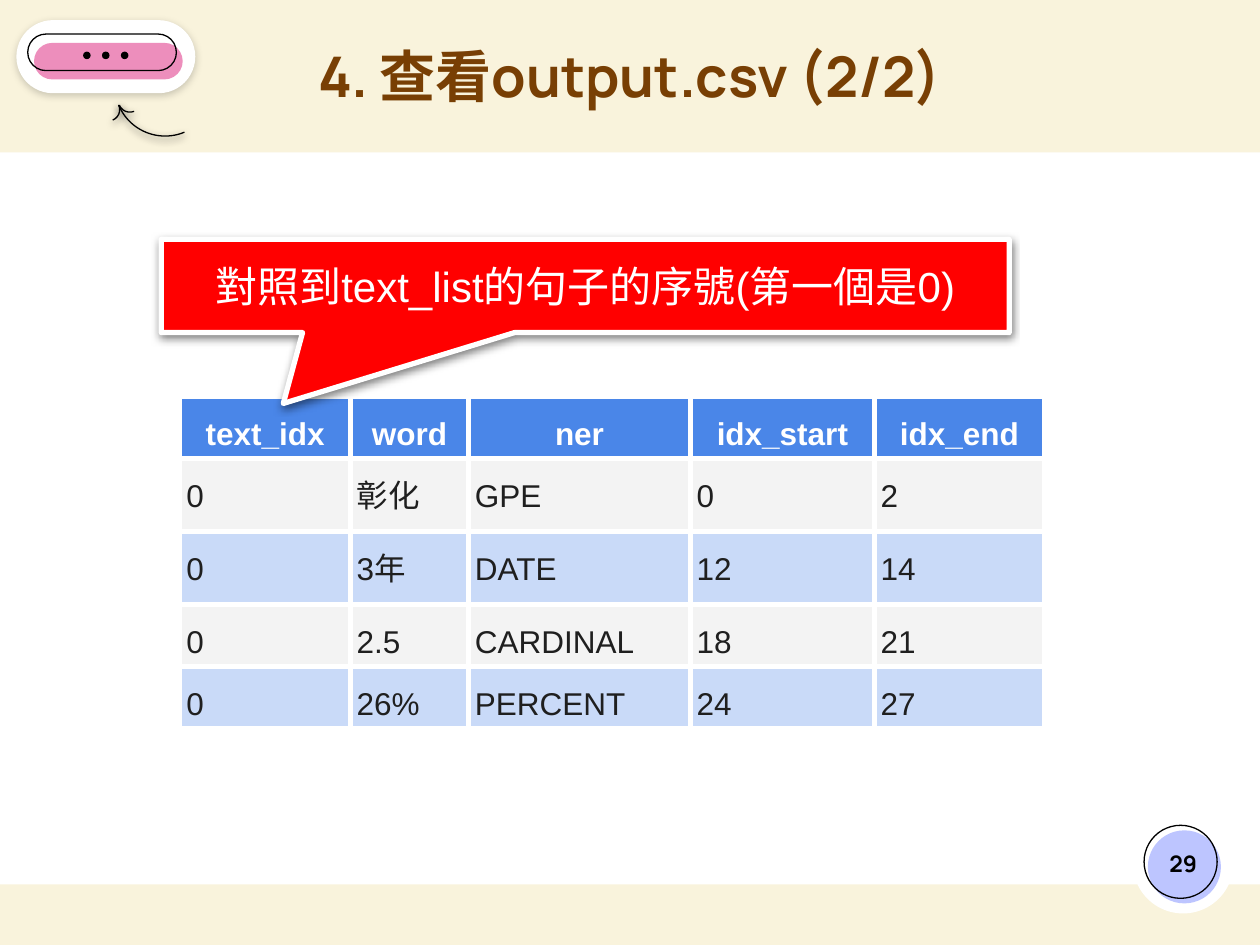
from dataclasses import dataclass

from lxml.etree import SubElement
from pptx import Presentation
from pptx.dml.color import RGBColor
from pptx.enum.shapes import MSO_SHAPE as Shape
from pptx.enum.text import MSO_ANCHOR as Anchor, PP_ALIGN as Align
from pptx.oxml.ns import qn
from pptx.util import Inches, Pt


@dataclass(frozen=True)
class Theme:
    cream: str = "F9F3DC"
    white: str = "FFFFFF"
    black: str = "000000"
    brown: str = "783F04"
    lilac: str = "BDC5FF"
    pink: str = "ED8EBC"
    red: str = "FF0000"
    header: str = "4A86E8"
    bands: tuple = ("F3F3F3", "C9DAF8")
    ink: str = "1F1F1F"
    display: str = "Manrope"
    body: str = "Arial"
    title_size: int = 32
    callout_size: int = 24
    table_size: int = 18
    number_size: int = 13
    thin: float = 0.75
    thick: float = 3


THEME = Theme()

HEADINGS = ("text_idx", "word", "ner", "idx_start", "idx_end")
ENTITIES = (
    ("0", "彰化", "GPE", "0", "2"),
    ("0", "3年", "DATE", "12", "14"),
    ("0", "2.5", "CARDINAL", "18", "21"),
    ("0", "26%", "PERCENT", "24", "27"),
)
COLUMN_WIDTHS = (1.35, 0.94, 1.76, 1.46, 1.35)
# Rows with Chinese words need more height
ROW_HEIGHTS = (0.46, 0.58, 0.58, 0.46, 0.46)


def add_shadow(shape, opacity):
    effects = shape._element.spPr.find(qn("a:effectLst"))
    outer = SubElement(effects, qn("a:outerShdw"), blurRad=str(Pt(4.5)),
                       dist=str(Pt(1.5)), dir="5400000", algn="bl", rotWithShape="0")
    color = SubElement(outer, qn("a:srgbClr"), val=THEME.black)
    SubElement(color, qn("a:alpha"), val=str(opacity * 1000))


def draw(slide, kind, box, fill=None, line=None, width=THEME.thin, shadow=None):
    shape = slide.shapes.add_shape(kind, *map(Inches, box))
    shape.shadow.inherit = False
    if fill:
        shape.fill.solid()
        shape.fill.fore_color.rgb = RGBColor.from_string(fill)
    else:
        shape.fill.background()
    if line:
        shape.line.color.rgb = RGBColor.from_string(line)
        shape.line.width = Pt(width)
    else:
        shape.line.fill.background()
    if shadow:
        add_shadow(shape, shadow)
    return shape


def write(frame, text, size, color, font, bold=False, align=Align.CENTER):
    frame.text = text
    paragraph = frame.paragraphs[0]
    paragraph.alignment = align
    run_font = paragraph.runs[0].font
    run_font.name, run_font.size, run_font.bold = font, Pt(size), bold
    run_font.color.rgb = RGBColor.from_string(color)
    for script in ("a:ea", "a:cs"):
        SubElement(paragraph.runs[0]._r.rPr, qn(script), typeface=font)
    return paragraph


def set_frame(frame, insets):
    frame.word_wrap = True
    frame.vertical_anchor = Anchor.MIDDLE
    (frame.margin_left, frame.margin_top,
     frame.margin_right, frame.margin_bottom) = map(Inches, insets)


def add_text(slide, box, text, size, color, insets):
    frame = slide.shapes.add_textbox(*map(Inches, box)).text_frame
    set_frame(frame, insets)
    write(frame, text, size, color, THEME.display, bold=True)


def add_background(slide, box):
    slide.background.fill.solid()
    slide.background.fill.fore_color.rgb = RGBColor.from_string(THEME.cream)
    draw(slide, Shape.RECTANGLE, box, THEME.white)


def add_page_badge(slide, box, number):
    left, top, _, _ = box
    disc = 0.58
    draw(slide, Shape.OVAL, box, THEME.white)
    draw(slide, Shape.OVAL, (left + 0.12, top + 0.14, disc, disc), THEME.lilac)
    draw(slide, Shape.OVAL, (left + 0.09, top + 0.1, disc, disc), line=THEME.black)
    add_text(slide, (left + 0.1, top + 0.12, 0.6, 0.57), number,
             THEME.number_size, THEME.black, (0.1,) * 4)


def add_curved_arrow(slide, box):
    left, top, _, _ = box
    barb = 0.18
    # Shaft, then the two barbs of the head
    arcs = ((box, False),
            ((left + 0.03, top + 0.43, barb, barb), False),
            ((left - 0.14, top + 0.5, barb, barb), True))
    for arc_box, mirrored in arcs:
        arc = draw(slide, Shape.ARC, arc_box, line=THEME.black, shadow=68)
        arc.rotation = 157.5
        if mirrored:
            arc._element.spPr.xfrm.set("flipH", "1")


def add_pill(slide, box):
    left, top, _, _ = box
    layers = ((box, THEME.white, None, 19),
              ((left + 0.14, top + 0.18, 1.18, 0.29), THEME.pink, None, None),
              ((left + 0.09, top + 0.11, 1.18, 0.29), None, THEME.black, None))
    for layer_box, fill, line, shadow in layers:
        layer = draw(slide, Shape.ROUNDED_RECTANGLE, layer_box, fill, line, shadow=shadow)
        layer.adjustments[0] = 0.5
    for i in range(3):
        draw(slide, Shape.OVAL, (left + 0.53 + 0.15 * i, top + 0.25, 0.06, 0.06), THEME.black)


def add_borders(cell):
    properties = cell._tc.get_or_add_tcPr()
    for position, side in enumerate(("a:lnL", "a:lnR", "a:lnT", "a:lnB")):
        border = SubElement(properties, qn(side), w=str(Pt(THEME.thick)))
        properties.insert(position, border)
        fill = SubElement(border, qn("a:solidFill"))
        SubElement(fill, qn("a:srgbClr"), val=THEME.white)


def add_entity_table(slide, box):
    rows = (HEADINGS, *ENTITIES)
    table = slide.shapes.add_table(len(rows), len(HEADINGS), *map(Inches, box)).table
    table.horz_banding = False
    for column, width in zip(table.columns, COLUMN_WIDTHS):
        column.width = Inches(width)
    for r, (row, height) in enumerate(zip(rows, ROW_HEIGHTS)):
        table.rows[r].height = Inches(height)
        heading = r == 0
        for c, value in enumerate(row):
            cell = table.cell(r, c)
            cell.margin_left = cell.margin_right = Inches(0.05)
            cell.margin_top = cell.margin_bottom = Inches(0.02)
            cell.fill.solid()
            cell.fill.fore_color.rgb = RGBColor.from_string(
                THEME.header if heading else THEME.bands[(r - 1) % 2])
            paragraph = write(cell.text_frame, value, THEME.table_size,
                              THEME.white if heading else THEME.ink, THEME.body,
                              heading, Align.CENTER if heading else Align.LEFT)
            paragraph.line_spacing = 1.5
            add_borders(cell)


def add_callout(slide, box, text):
    callout = draw(slide, Shape.ROUNDED_RECTANGULAR_CALLOUT, box, THEME.red,
                   THEME.white, THEME.thick, shadow=50)
    for i, value in enumerate((-0.356, 1.26, 0)):
        callout.adjustments[i] = value
    set_frame(callout.text_frame, (0, 0.1, 0, 0.1))
    write(callout.text_frame, text, THEME.callout_size, THEME.white, THEME.body)


def main():
    deck = Presentation()
    deck.slide_width, deck.slide_height = Inches(10), Inches(7.5)
    slide = deck.slides.add_slide(deck.slide_layouts[6])

    # Frame and decoration
    add_background(slide, (0, 1.21, 10, 5.81))
    add_page_badge(slide, (8.99, 6.45, 0.8, 0.8), "29")
    add_curved_arrow(slide, (0.91, 0.28, 0.8, 0.8))
    add_pill(slide, (0.13, 0.16, 1.42, 0.58))

    # Content
    add_text(slide, (1.55, 0.16, 6.9, 0.98), "4. 查看output.csv (2/2)",
             THEME.title_size, THEME.brown, (0.1, 0, 0.1, 0.1))
    add_entity_table(slide, (1.43, 3.15, sum(COLUMN_WIDTHS), sum(ROW_HEIGHTS)))
    add_callout(slide, (1.28, 1.9, 6.73, 0.74), "對照到text_list的句子的序號(第一個是0)")

    deck.save("out.pptx")


if __name__ == "__main__":
    main()
